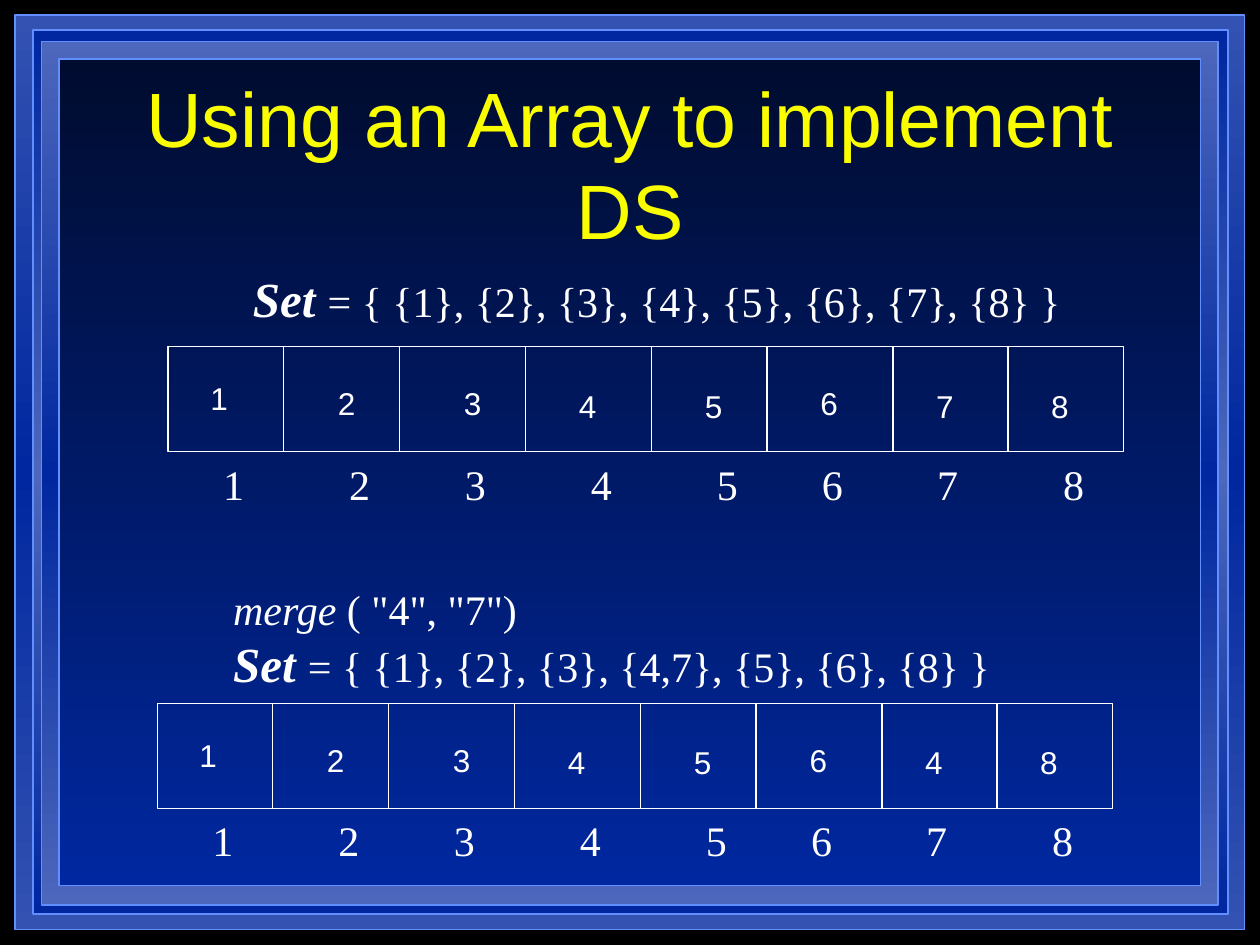
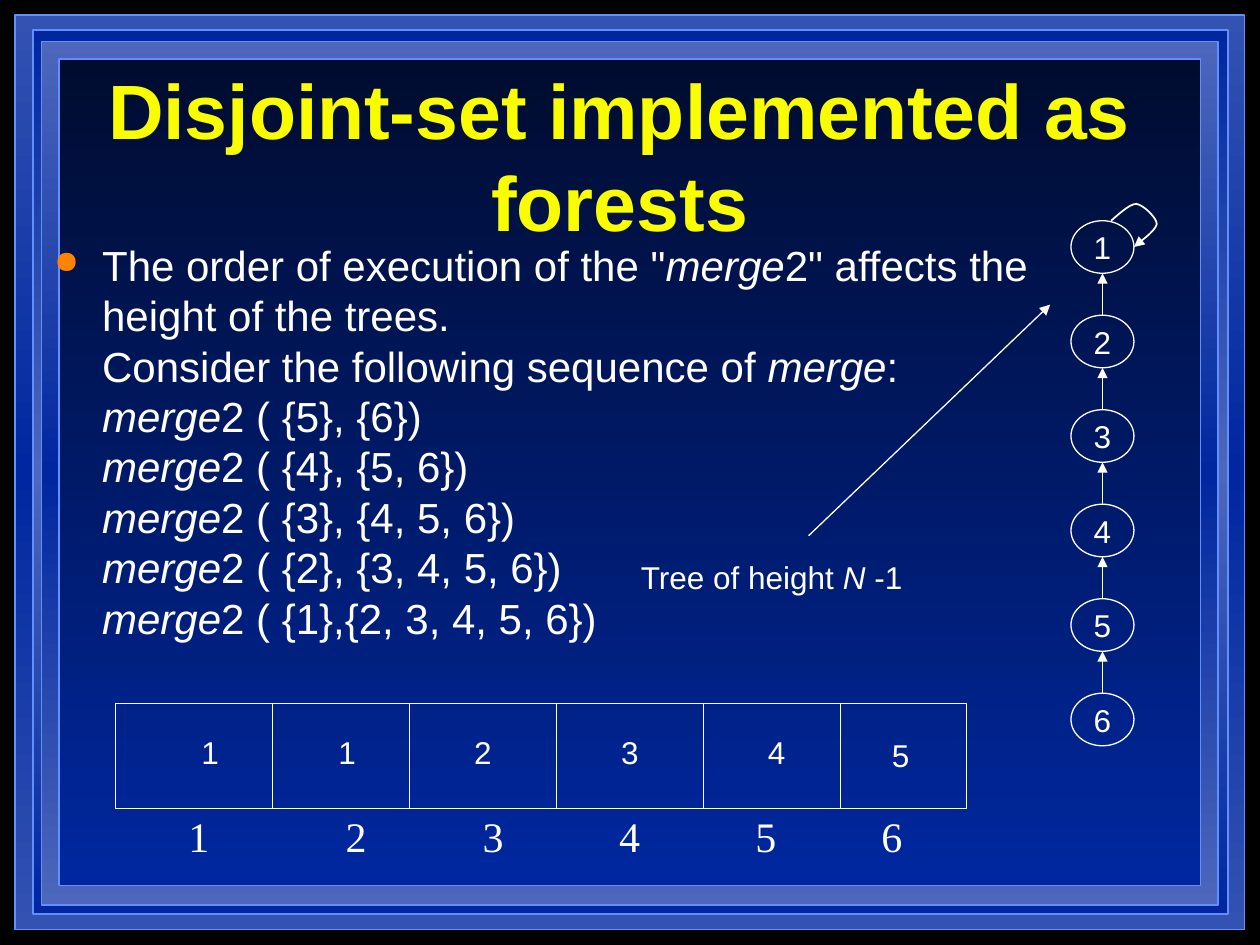
"""Build two slides on disjoint sets stored as arrays and as forests."""
import copy
import dataclasses

import pptx
import pptx.dml.color
import pptx.enum.shapes
import pptx.enum.text
import pptx.oxml.ns
import pptx.util
from lxml import etree

Cm = pptx.util.Cm
Pt = pptx.util.Pt
RGBColor = pptx.dml.color.RGBColor
MSO_SHAPE = pptx.enum.shapes.MSO_SHAPE
PP_ALIGN = pptx.enum.text.PP_ALIGN
MSO_ANCHOR = pptx.enum.text.MSO_ANCHOR
qn = pptx.oxml.ns.qn

BLACK = RGBColor(0x00, 0x00, 0x00)
WHITE = RGBColor(0xFF, 0xFF, 0xFF)
YELLOW = RGBColor(0xFA, 0xFD, 0x00)
ORANGE = RGBColor(0xFF, 0x82, 0x03)
EDGE_BLUE = RGBColor(0x61, 0x8F, 0xFD)
BLUE = RGBColor(0x00, 0x27, 0x9F)
MID_BLUE = RGBColor(0x33, 0x52, 0xB2)
PALE_BLUE = RGBColor(0x4C, 0x67, 0xBC)
NIGHT_BLUE = RGBColor(0x00, 0x0C, 0x2F)

SANS = "Arial"
SERIF = "Times New Roman"
LINE_FACTOR = 1.2
ARRAY_HEIGHT = 2.12

FRAME_BANDS = [
    ((0.3, 0.3, 24.79, 18.44), (MID_BLUE, BLUE, MID_BLUE)),
    ((0.66, 0.61, 24.1, 17.81), (BLUE, PALE_BLUE, BLUE)),
    ((0.84, 0.84, 23.72, 17.4), (PALE_BLUE, BLUE, PALE_BLUE)),
    ((1.19, 1.19, 23.01, 16.66), (NIGHT_BLUE, BLUE)),
]


@dataclasses.dataclass
class ArrayLayout:
    """Cell edges, value offsets and index tab stops of an array, in centimetres."""
    edges: list
    value_lefts: list
    value_drops: list
    index_left: float
    index_drop: float
    index_tabs: list


EIGHT_CELLS = ArrayLayout(
    edges=[2.33, 4.66, 7.2, 9.74, 12.07, 14.61, 16.93, 19.26],
    value_lefts=[0.6, 3.17, 5.71, 8.03, 10.57, 12.9, 15.23, 17.55],
    value_drops=[0.53, 0.63, 0.63, 0.68, 0.68, 0.63, 0.68, 0.68],
    index_left=0.86, index_drop=2.12,
    index_tabs=[2.54, 4.87, 7.41, 9.95, 12.07, 14.39, 16.93])
SIX_CELLS = ArrayLayout(
    edges=[3.17, 5.93, 8.89, 11.85, 14.61, 17.15],
    value_lefts=[1.48, 4.24, 6.98, 9.94, 12.9, 15.4],
    value_drops=[0.48] * 5 + [0.53],
    index_left=1.22, index_drop=2.03,
    index_tabs=[3.17, 5.93, 8.68, 11.43, 13.97])

MERGE_TEXT = "\n".join([
    'The order of execution of the "*merge*2" affects the height of the trees.',
    "Consider the following sequence of *merge*:",
    "*merge*2 ( {5}, {6})",
    "*merge*2 ( {4}, {5, 6})",
    "*merge*2 ( {3}, {4, 5, 6})",
    "*merge*2 ( {2}, {3, 4, 5, 6})",
    "*merge*2 ( {1},{2, 3, 4, 5, 6})",
])

LOOP_START = (22.86, 4.98)
LOOP_CURVES = [
    ((22.94, 4.9), (23.29, 4.67), (23.32, 4.52)),
    ((23.32, 4.39), (23.06, 4.14), (22.91, 4.11)),
    ((22.76, 4.11), (22.5, 4.37), (22.4, 4.45)),
]


def write_paragraph(paragraph, text, size, name=SANS, color=WHITE, bold=False):
    """Fill a paragraph; asterisks switch italics and newlines break the line."""
    for number, line in enumerate(text.split("\n")):
        if number:
            paragraph.add_line_break()
        for position, part in enumerate(line.split("*")):
            if part:
                run = paragraph.add_run()
                run.text = part
                run.font.italic = position % 2 == 1
    for font in (paragraph.font, *(run.font for run in paragraph.runs)):
        font.size = Pt(size)
        font.name = name
        font.bold = bold
        font.color.rgb = color
    paragraph.line_spacing = Pt(LINE_FACTOR * size)


def add_text(slide, box, texts, size, **style):
    """Add a wrapping text box with one paragraph per text; return its frame."""
    frame = slide.shapes.add_textbox(*map(Cm, box)).text_frame
    frame.word_wrap = True
    for number, text in enumerate(texts):
        paragraph = frame.add_paragraph() if number else frame.paragraphs[0]
        write_paragraph(paragraph, text, size, **style)
    return frame


def add_title(slide, box, text, bold=False):
    """Add the yellow centred title."""
    frame = add_text(slide, box, [text], 44, color=YELLOW, bold=bold)
    frame.vertical_anchor = MSO_ANCHOR.MIDDLE
    frame.paragraphs[0].alignment = PP_ALIGN.CENTER


def emphasise_first_run(paragraph, size=28):
    """Enlarge and embolden the leading word of a paragraph."""
    font = paragraph.runs[0].font
    font.size = Pt(size)
    font.bold = True
    paragraph.line_spacing = Pt(LINE_FACTOR * size)


def add_outline(slide, kind, box, color=WHITE, width=0.75):
    """Add an unfilled preset shape."""
    shape = slide.shapes.add_shape(kind, *map(Cm, box))
    shape.shadow.inherit = False
    shape.fill.background()
    shape.line.color.rgb = color
    shape.line.width = Pt(width)
    return shape


def add_frame(slide):
    """Draw the nested gradient bands around the slide."""
    for box, colors in FRAME_BANDS:
        band = add_outline(slide, MSO_SHAPE.RECTANGLE, box, EDGE_BLUE, 1)
        band.fill.gradient()
        band.fill.gradient_angle = 270
        stop_list = band._element.spPr.find(".//" + qn("a:gsLst"))
        while len(stop_list) < len(colors):
            stop_list.append(copy.deepcopy(stop_list[0]))
        for number, stop in enumerate(band.fill.gradient_stops):
            stop.color.rgb = colors[number]
            stop.position = number / (len(colors) - 1)


def add_arrowhead(shape, end):
    """Put a triangle on headEnd or tailEnd of a line."""
    line = shape.line._get_or_add_ln()
    etree.SubElement(line, qn("a:" + end), type="triangle")


def add_line(slide, start, finish, arrow=False):
    """Add a thin white line, with an arrow at its finish if asked."""
    line = slide.shapes.add_connector(
        pptx.enum.shapes.MSO_CONNECTOR.STRAIGHT, *map(Cm, (*start, *finish)))
    line.line.color.rgb = WHITE
    line.line.width = Pt(0.75)
    if arrow:
        add_arrowhead(line, "tailEnd")
    etree.SubElement(line._element.spPr, qn("a:effectLst"))


def add_index_row(slide, left, top, layout):
    """Number the cells below an array, aligned by tab stops."""
    count = len(layout.edges)
    text = "\t".join(str(number) for number in range(1, count + 1))
    box = (left + layout.index_left, top + layout.index_drop, layout.edges[-1], 1.27)
    frame = add_text(slide, box, [text], 24, name=SERIF)
    tab_list = etree.Element(qn("a:tabLst"))
    for position in layout.index_tabs:
        etree.SubElement(tab_list, qn("a:tab"), pos=str(Cm(position)), algn="l")
    properties = frame.paragraphs[0]._p.get_or_add_pPr()
    properties.find(qn("a:defRPr")).addprevious(tab_list)


def add_array(slide, left, top, values, layout):
    """Draw an array with its cell values and index row."""
    add_outline(slide, MSO_SHAPE.RECTANGLE,
                (left, top, layout.edges[-1], ARRAY_HEIGHT))
    for edge in layout.edges[:-1]:
        add_line(slide, (left + edge, top), (left + edge, top + ARRAY_HEIGHT))
    for value, offset, drop in zip(values, layout.value_lefts, layout.value_drops):
        add_text(slide, (left + offset, top + drop, 0.87, 1.02), [value], 18)
    add_index_row(slide, left, top, layout)


def add_bullet_text(slide, box, text):
    """Add body text with a hanging orange bullet."""
    paragraph = add_text(slide, box, [text], 24).paragraphs[0]
    paragraph.space_before = Pt(6)
    properties = paragraph._p.get_or_add_pPr()
    properties.set("marL", str(Cm(0.97)))
    properties.set("indent", str(-Cm(0.97)))
    color = etree.Element(qn("a:buClr"))
    etree.SubElement(color, qn("a:srgbClr"), val=str(ORANGE))
    size = etree.Element(qn("a:buSzPct"), val="75000")
    character = etree.Element(qn("a:buChar"), char="●")
    for element in (color, size, character):
        properties.find(qn("a:defRPr")).addprevious(element)


def add_tree_chain(slide, left, top, count):
    """Draw numbered nodes in a column, each pointing to the one above."""
    width, height, pitch = 1.27, 1.06, 1.905
    for number in range(count):
        node_top = top + number * pitch
        node = add_outline(slide, MSO_SHAPE.OVAL, (left, node_top, width, height))
        frame = node.text_frame
        frame.margin_left = frame.margin_right = 0
        frame.margin_top = frame.margin_bottom = 0
        frame.vertical_anchor = MSO_ANCHOR.MIDDLE
        write_paragraph(frame.paragraphs[0], str(number + 1), 18)
        frame.paragraphs[0].alignment = PP_ALIGN.CENTER
        if number:
            middle = left + width / 2
            add_line(slide, (middle, node_top),
                     (middle, node_top - pitch + height), arrow=True)


def curve_points(start, curves, steps=8):
    """Sample points along a chain of cubic curves."""
    points = []
    for first, second, finish in curves:
        for step in range(1, steps + 1):
            t = step / steps
            weights = ((1 - t) ** 3, 3 * t * (1 - t) ** 2, 3 * t * t * (1 - t), t ** 3)
            points.append(tuple(
                Cm(sum(weight * value for weight, value in zip(weights, axis)))
                for axis in zip(start, first, second, finish)))
        start = finish
    return points


def add_root_loop(slide):
    """Draw the arrow from the root node back to itself."""
    builder = slide.shapes.build_freeform(*map(Cm, LOOP_START))
    builder.add_line_segments(curve_points(LOOP_START, LOOP_CURVES), close=False)
    loop = builder.convert_to_shape()
    loop.shadow.inherit = False
    loop.fill.background()
    loop.line.color.rgb = WHITE
    loop.line.width = Pt(1)
    add_arrowhead(loop, "headEnd")


def add_framed_slide(presentation):
    """Add a blank slide with the shared frame."""
    slide = presentation.slides.add_slide(presentation.slide_layouts[6])
    add_frame(slide)
    return slide


def build_array_slide(presentation):
    """Show the array before and after a merge."""
    slide = add_framed_slide(presentation)
    add_title(slide, (1.91, 1.7, 21.59, 3.17), "Using an Array to implement DS")
    before = add_text(slide, (4.85, 5.28, 17.5, 1.45),
                      ["*Set *= { {1}, {2}, {3}, {4}, {5}, {6}, {7}, {8} }"],
                      24, name=SERIF)
    after = add_text(slide, (4.45, 11.64, 16.5, 2.46),
                     ['*merge* ( "4", "7")',
                      "*Set *= { {1}, {2}, {3}, {4,7}, {5}, {6}, {8} }"],
                     24, name=SERIF)
    for frame in (before, after):
        emphasise_first_run(frame.paragraphs[-1])
    add_array(slide, 3.39, 6.99, "12345678", EIGHT_CELLS)
    add_array(slide, 3.17, 14.18, "12345648", EIGHT_CELLS)


def build_forest_slide(presentation):
    """Show how the merge order makes a tall tree."""
    slide = add_framed_slide(presentation)
    add_bullet_text(slide, (0.84, 4.7, 21.59, 8.69), MERGE_TEXT)
    add_array(slide, 2.33, 14.18, "112345", SIX_CELLS)
    add_tree_chain(slide, 21.59, 4.45, 6)
    add_root_loop(slide)
    add_line(slide, (16.3, 10.8), (21.17, 6.14), arrow=True)
    add_text(slide, (12.67, 11.12, 6.2, 1.02), ["Tree of height *N* -1"], 18)
    add_title(slide, (1.7, 1.95, 21.59, 2.34),
              "Disjoint-set implemented as forests", bold=True)


def main():
    """Build and save the presentation."""
    presentation = pptx.Presentation()
    presentation.slide_width = Cm(25.4)
    presentation.slide_height = Cm(19.05)
    background = presentation.slide_master.background.fill
    background.solid()
    background.fore_color.rgb = BLACK
    build_array_slide(presentation)
    build_forest_slide(presentation)
    presentation.save("out.pptx")


if __name__ == "__main__":
    main()
